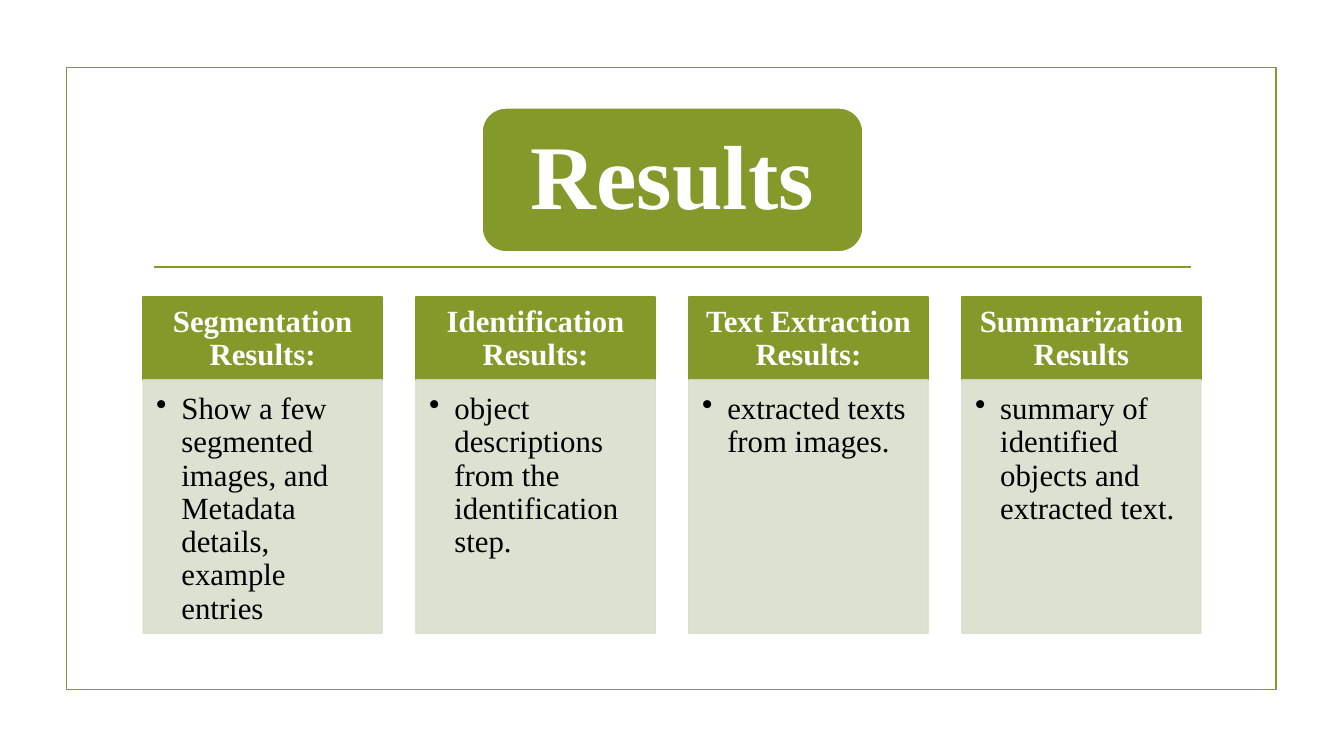
from lxml import etree
from pptx import Presentation
from pptx.dml.color import RGBColor
from pptx.enum.shapes import MSO_CONNECTOR, MSO_SHAPE
from pptx.enum.text import MSO_ANCHOR, PP_ALIGN
from pptx.oxml.ns import qn
from pptx.util import Inches, Pt

RECT, ROUNDED = MSO_SHAPE.RECTANGLE, MSO_SHAPE.ROUNDED_RECTANGLE
MIDDLE, TOP = MSO_ANCHOR.MIDDLE, MSO_ANCHOR.TOP
CENTER, LEFT = PP_ALIGN.CENTER, PP_ALIGN.LEFT
COLORS = {"green": "83992A", "pale": "D9DECD", "white": "FFFFFF", "black": "000000"}
FONT = "Times New Roman"
LINE_WIDTH = Pt(1.25)

prs = Presentation()
prs.slide_width, prs.slide_height = Inches(13.33), Inches(7.5)
s = prs.slides.add_slide(prs.slide_layouts[6])


def add_box(kind, box, fill, line):
    sp = s.shapes.add_shape(kind, *[Inches(v) for v in box])
    sp.shadow.inherit = False
    if fill:
        sp.fill.solid()
        sp.fill.fore_color.rgb = RGBColor.from_string(COLORS[fill])
    else:
        sp.fill.background()
    sp.line.color.rgb = RGBColor.from_string(COLORS[line])
    sp.line.width = LINE_WIDTH
    return sp


def set_text(sp, text, size, color, bold, align, anchor, insets):
    tf = sp.text_frame
    frame = {"word_wrap": True, "vertical_anchor": anchor}
    for side, inset in zip(("left", "top", "right", "bottom"), insets):
        frame[f"margin_{side}"] = Inches(inset)
    for name, value in frame.items():
        setattr(tf, name, value)
    p = tf.paragraphs[0]
    p.alignment, p.line_spacing = align, 0.9
    r = p.add_run()
    r.text = text
    for name, value in {"name": FONT, "size": Pt(size), "bold": bold}.items():
        setattr(r.font, name, value)
    r.font.color.rgb = RGBColor.from_string(COLORS[color])
    return p


# Frame and divider
add_box(RECT, (0.66, 0.67, 12, 6.17), None, "green")
divider = s.shapes.add_connector(
    MSO_CONNECTOR.STRAIGHT, Inches(1.53), Inches(2.65), Inches(11.81), Inches(2.65))
divider.line.color.rgb = RGBColor.from_string(COLORS["green"])
divider.line.width = LINE_WIDTH
etree.SubElement(divider._element.spPr, qn("a:effectLst"))

# Title
title = add_box(ROUNDED, (4.78, 1.07, 3.78, 1.43), "green", "white")
set_text(title, "Results", 65, "white", True, CENTER, MIDDLE, (0.34, 0.21, 0.34, 0.21))

# Four result columns
columns = [
    ("Segmentation Results:",
     "Show a few segmented images, and Metadata details, example entries"),
    ("Identification Results:", "object descriptions from the identification step."),
    ("Text Extraction Results:", "extracted texts from images."),
    ("Summarization Results", "summary of identified objects and extracted text."),
]
LEFT_EDGE, PITCH, WIDTH = 1.42, 2.707, 2.37
for i, (heading, detail) in enumerate(columns):
    x = LEFT_EDGE + i * PITCH
    header = add_box(RECT, (x, 2.95, WIDTH, 0.82), "green", "green")
    set_text(header, heading, 22, "white", True, CENTER, MIDDLE, (0.16, 0.1, 0.16, 0.1))

    body = add_box(RECT, (x, 3.77, WIDTH, 2.51), "pale", "pale")
    for clr in body._element.spPr.iter(qn("a:srgbClr")):
        etree.SubElement(clr, qn("a:alpha"), val="90000")
    p = set_text(body, detail, 22, "black", False, LEFT, TOP, (0.13, 0.13, 0.17, 0.19))

    # Bullet with a hanging indent
    pPr = p._p.get_or_add_pPr()
    pPr.set("marL", str(Inches(0.25)))
    pPr.set("indent", str(Inches(-0.25)))
    etree.SubElement(pPr, qn("a:buChar"), char="•")

prs.save("out.pptx")
